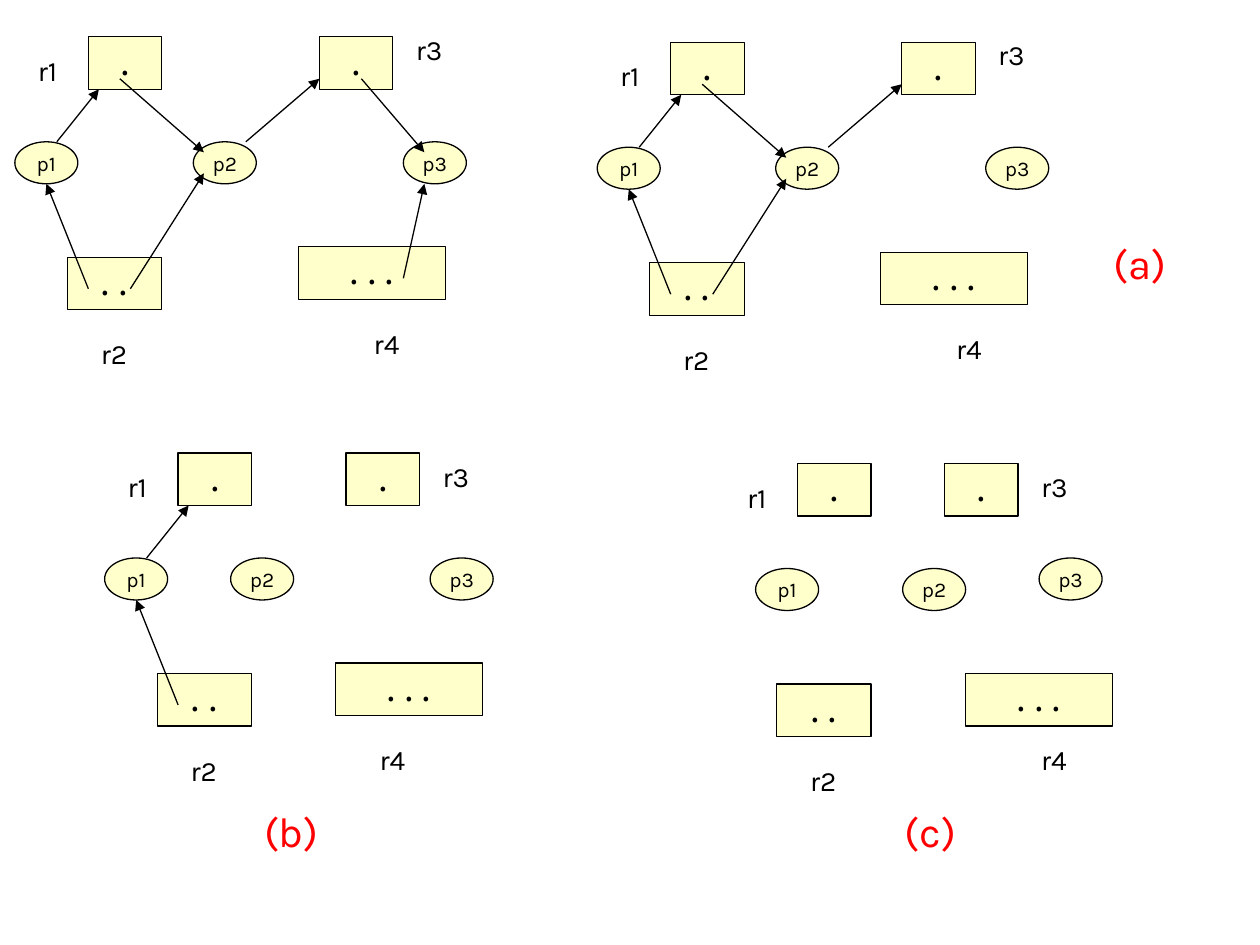
from dataclasses import dataclass
from typing import NamedTuple

from lxml.etree import SubElement
from pptx import Presentation
from pptx.dml.color import RGBColor
from pptx.enum.shapes import MSO_CONNECTOR, MSO_SHAPE
from pptx.enum.text import MSO_ANCHOR, MSO_AUTO_SIZE, PP_ALIGN
from pptx.oxml.ns import qn
from pptx.util import Cm, Length, Pt

COLORS = {"fill": "FFFFCC", "ink": "000000", "caption": "FF0000"}
TEXT_FONT = "Karla"
DOT_FONT = "Noto Sans CJK SC"
GRID = 2.54 / 12  # grid step in cm


class Spot(NamedTuple):
    """A place in grid steps, counted from the graph's origin."""
    x: float
    y: float


class NodeStyle(NamedTuple):
    width: float
    height: float
    dots: str = ""  # instances of a resource; empty for a process


class Edge(NamedTuple):
    """An arrow whose ends are offsets from the corners of two nodes."""
    source: str
    start: Spot
    target: str
    end: Spot


@dataclass
class Graph:
    left: float  # origin in cm
    top: float
    nodes: dict[str, Spot]
    labels: dict[str, Spot]
    edges: list[str]
    caption: str = ""
    caption_spot: Spot = Spot(0, 0)

    def x(self, steps: float) -> Length:
        return Cm(self.left + steps * GRID)

    def y(self, steps: float) -> Length:
        return Cm(self.top + steps * GRID)


# Processes are ellipses, resources are boxes with a dot per instance
PROCESS = NodeStyle(6, 4)
STYLES = {
    "p2": PROCESS, "p1": PROCESS, "p3": PROCESS,
    "r1": NodeStyle(7, 5, "."), "r3": NodeStyle(7, 5, "."),
    "r2": NodeStyle(9, 5, ". ."), "r4": NodeStyle(14, 5, ". . ."),
}

EDGES = {
    "r1-p2": Edge("r1", Spot(3, 4), "p2", Spot(1, 1)),
    "r2-p2": Edge("r2", Spot(6, 3), "p2", Spot(1, 3)),
    "r2-p1": Edge("r2", Spot(2, 3), "p1", Spot(3, 4)),
    "r3-p3": Edge("r3", Spot(4, 4), "p3", Spot(2, 1)),
    "p1-r1": Edge("p1", Spot(4, 0), "r1", Spot(1, 5)),
    "p2-r3": Edge("p2", Spot(5, 0), "r3", Spot(0, 4)),
    "r4-p3": Edge("r4", Spot(10, 3), "p3", Spot(2, 4)),
}

# The first two graphs share one layout
WIDE_NODES = {
    "p1": Spot(0, 11), "p2": Spot(17, 11), "p3": Spot(37, 11),
    "r1": Spot(7, 1), "r3": Spot(29, 1), "r2": Spot(5, 22), "r4": Spot(27, 21),
}
WIDE_LABELS = {"r1": Spot(1, 2), "r3": Spot(37, 0), "r2": Spot(7, 29), "r4": Spot(33, 28)}

GRAPHS = [
    Graph(12.04, 0.64, WIDE_NODES, WIDE_LABELS,
          ["r1-p2", "r2-p2", "r2-p1", "p1-r1", "p2-r3"], "(a)", Spot(48, 19)),
    Graph(2.11, 8.92,
          {"p1": Spot(0, 11), "p2": Spot(12, 11), "p3": Spot(31, 11),
           "r1": Spot(7, 1), "r3": Spot(23, 1), "r2": Spot(5, 22), "r4": Spot(22, 21)},
          {"r1": Spot(1, 2), "r3": Spot(31, 1), "r2": Spot(7, 29), "r4": Spot(25, 28)},
          ["r2-p1", "p1-r1"], "(b)", Spot(14, 34)),
    Graph(14.81, 8.92,
          {"p1": Spot(2, 12), "p2": Spot(16, 12), "p3": Spot(29, 11),
           "r1": Spot(6, 2), "r3": Spot(20, 2), "r2": Spot(4, 23), "r4": Spot(22, 22)},
          {"r1": Spot(0, 3), "r3": Spot(28, 2), "r2": Spot(6, 30), "r4": Spot(28, 28)},
          [], "(c)", Spot(15, 34)),
    Graph(0.3, 0.53, WIDE_NODES, WIDE_LABELS, list(EDGES)),
]


def color(name: str) -> RGBColor:
    return RGBColor.from_string(COLORS[name])


def write(paragraph, text: str, size: float, tint: str, font: str = TEXT_FONT) -> None:
    paragraph.text = text
    paragraph.font.size = Pt(size)
    paragraph.font.name = font
    paragraph.font.color.rgb = color(tint)


def draw_node(group, graph: Graph, name: str) -> None:
    style, spot = STYLES[name], graph.nodes[name]
    kind = MSO_SHAPE.RECTANGLE if style.dots else MSO_SHAPE.OVAL
    node = group.shapes.add_shape(kind, graph.x(spot.x), graph.y(spot.y),
                                  Cm(style.width * GRID), Cm(style.height * GRID))
    node.shadow.inherit = False
    node.fill.solid()
    node.fill.fore_color.rgb = color("fill")
    node.line.color.rgb = color("ink")
    node.line.width = Pt(0.75)
    frame = node.text_frame
    frame.word_wrap = False
    frame.vertical_anchor = MSO_ANCHOR.MIDDLE
    paragraph = frame.paragraphs[0]
    paragraph.alignment = PP_ALIGN.CENTER
    if style.dots:
        write(paragraph, style.dots, 20, "ink", DOT_FONT)
        paragraph.line_spacing = 0.95
    else:
        write(paragraph, name, 12, "ink")


def draw_text(group, graph: Graph, text: str, spot: Spot, width: float,
              height: float, size: float, tint: str) -> None:
    box = group.shapes.add_textbox(graph.x(spot.x), graph.y(spot.y),
                                   Cm(width * GRID), Cm(height * GRID))
    box.text_frame.word_wrap = True
    box.text_frame.auto_size = MSO_AUTO_SIZE.SHAPE_TO_FIT_TEXT
    write(box.text_frame.paragraphs[0], text, size, tint)


def draw_edge(group, graph: Graph, edge: Edge) -> None:
    source, target = graph.nodes[edge.source], graph.nodes[edge.target]
    arrow = group.shapes.add_connector(
        MSO_CONNECTOR.STRAIGHT,
        graph.x(source.x + edge.start.x), graph.y(source.y + edge.start.y),
        graph.x(target.x + edge.end.x), graph.y(target.y + edge.end.y))
    arrow.line.color.rgb = color("ink")
    arrow.line.width = Pt(0.75)
    SubElement(arrow.line._get_or_add_ln(), qn("a:tailEnd"), type="triangle")
    SubElement(arrow._element.spPr, qn("a:effectLst"))


def draw_graph(page, graph: Graph) -> None:
    group = page.shapes.add_group_shape()
    for name in STYLES:
        draw_node(group, graph, name)
    for name, spot in graph.labels.items():
        draw_text(group, graph, name, spot, 5, 4.4, 16, "ink")
    for key in graph.edges:
        draw_edge(group, graph, EDGES[key])
    if graph.caption:
        draw_text(group, graph, graph.caption, graph.caption_spot, 9, 6, 24, "caption")


def main() -> None:
    deck = Presentation()
    deck.slide_width, deck.slide_height = Cm(25.4), Cm(19.05)
    page = deck.slides.add_slide(deck.slide_layouts[6])
    for graph in GRAPHS:
        draw_graph(page, graph)
    deck.save("out.pptx")


if __name__ == "__main__":
    main()
